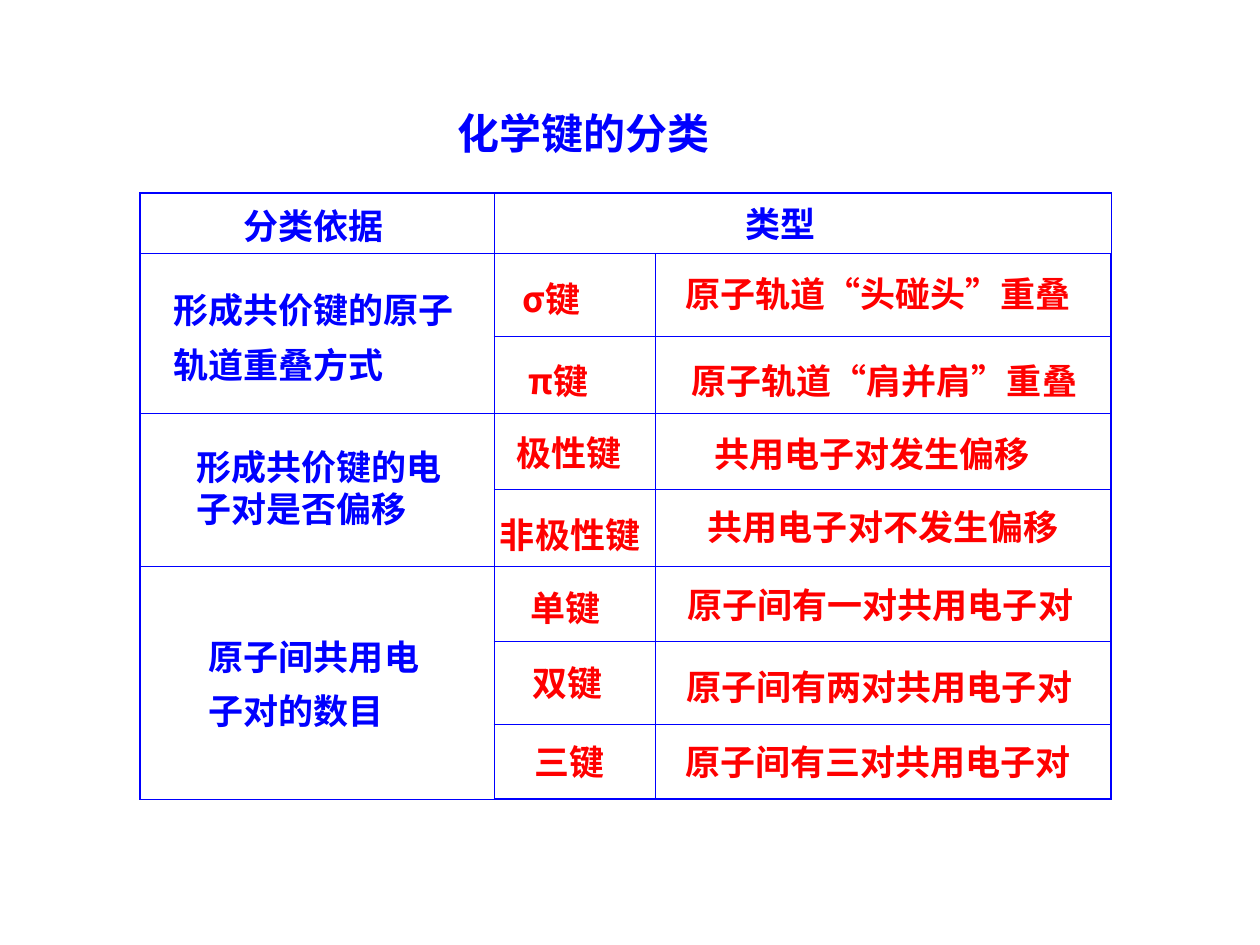
from lxml.etree import SubElement
from pptx import Presentation
from pptx.dml.color import RGBColor
from pptx.enum.text import MSO_ANCHOR, MSO_AUTO_SIZE, PP_ALIGN
from pptx.oxml import parse_xml
from pptx.oxml.ns import nsdecls, qn
from pptx.util import Cm, Pt

COLORS = {"heading": "0000FF", "border": "0000FF", "type": "FF0000"}
FONT = "Noto Sans CJK SC"
COLUMN_WIDTHS = [7.14, 3.25, 9.19]
ROW_HEIGHTS = [1.22, 1.68, 1.55, 1.52, 1.55, 1.52, 1.68, 1.5]
MERGES = [((0, 1), (0, 2)), ((1, 0), (2, 0)), ((3, 0), (4, 0)), ((5, 0), (7, 0))]
INNER_LINE, OUTER_LINE = 0.45, 1.08

HEADINGS = [
    ("类型", 14.78, 3.96, 4.93, 1.12, 1),
    ("分类依据", 4.65, 3.99, 4.93, 1.12, 1),
    ("形成共价键的电\n子对是否偏移", 3.71, 8.86, 6.17, 1.96, 1),
    ("形成共价键的原子\n轨道重叠方式", 3.25, 5.44, 6.93, 2.46, 1.3),
    ("原子间共用电\n子对的数目", 3.96, 12.42, 5.36, 2.46, 1.3),
]
BOND_TYPES = [
    ("σ键", 10.29, 5.46, 1),
    ("π键", 10.41, 7.11, 1),
    ("极性键", 10.16, 8.56, 1),
    ("非极性键", 9.83, 9.96, 1.3),
    ("单键", 10.44, 11.43, 1.3),
    ("双键", 10.49, 12.95, 1.3),
    ("三键", 10.52, 14.55, 1.3),
]
DESCRIPTIONS = [
    ("原子轨道“头碰头”重叠", 13.56, 5.11),
    ("原子轨道“肩并肩”重叠", 13.69, 6.86),
    ("共用电子对发生偏移", 14.15, 8.33),
    ("共用电子对不发生偏移", 14.02, 9.8),
    ("原子间有一对共用电子对", 13.61, 11.38),
    ("原子间有两对共用电子对", 13.59, 13.03),
    ("原子间有三对共用电子对", 13.56, 14.55),
]


def write_text(shape, text, size=20, color="type", spacing=1):
    """Fill a shape with bold, left-aligned paragraphs, one per line of text."""
    frame = shape.text_frame
    frame.word_wrap = True
    frame.auto_size = MSO_AUTO_SIZE.NONE
    frame.vertical_anchor = MSO_ANCHOR.TOP
    frame.margin_left = frame.margin_right = Cm(0.25)
    frame.margin_top = frame.margin_bottom = Cm(0.13)
    frame.text = text
    for paragraph in frame.paragraphs:
        paragraph.alignment = PP_ALIGN.LEFT
        paragraph.line_spacing = spacing
        for run in paragraph.runs:
            run.font.size = Pt(size)
            run.font.bold = True
            run.font.color.rgb = RGBColor.from_string(COLORS[color])
            run.font.name = FONT
            SubElement(run.font._element, qn("a:ea")).set("typeface", FONT)


def add_title(slide, text, left, top, width, height):
    """Move the title placeholder into place and fill it."""
    title = slide.shapes.title
    title.left, title.top = Cm(left), Cm(top)
    title.width, title.height = Cm(width), Cm(height)
    write_text(title, text, size=24, color="heading")


def add_label(slide, text, left, top, width, height, **text_format):
    """Add a text box measured in centimetres."""
    box = slide.shapes.add_textbox(Cm(left), Cm(top), Cm(width), Cm(height))
    write_text(box, text, **text_format)


def set_borders(cell, widths):
    """Draw the four cell borders from a dict of side to width in points."""
    properties = cell._tc.get_or_add_tcPr()
    for position, (side, width) in enumerate(widths.items()):
        line = parse_xml(
            f'<a:ln{side} {nsdecls("a")} w="{Pt(width)}"><a:solidFill>'
            f'<a:srgbClr val="{COLORS["border"]}"/></a:solidFill></a:ln{side}>'
        )
        properties.insert(position, line)


def add_grid(slide, left, top):
    """Add the ruled classification table with its merged cells."""
    row_count, column_count = len(ROW_HEIGHTS), len(COLUMN_WIDTHS)
    frame = slide.shapes.add_table(
        row_count, column_count, Cm(left), Cm(top),
        Cm(sum(COLUMN_WIDTHS)), Cm(sum(ROW_HEIGHTS)),
    )
    table = frame.table
    table.first_row = table.horz_banding = False
    for column, width in zip(table.columns, COLUMN_WIDTHS):
        column.width = Cm(width)
    for row, height in zip(table.rows, ROW_HEIGHTS):
        row.height = Cm(height)
    for start, end in MERGES:
        table.cell(*start).merge(table.cell(*end))
    for row in range(row_count):
        for column in range(column_count):
            cell = table.cell(row, column)
            cell.fill.background()
            on_edge = {
                "L": column == 0,
                "R": column == column_count - 1,
                "T": row == 0,
                "B": row == row_count - 1,
            }
            set_borders(cell, {
                side: OUTER_LINE if outer else INNER_LINE
                for side, outer in on_edge.items()
            })


def main():
    """Build the slide and save it."""
    presentation = Presentation()
    presentation.slide_width, presentation.slide_height = Cm(25.4), Cm(19.05)
    slide = presentation.slides.add_slide(presentation.slide_layouts[5])
    add_title(slide, "化学键的分类", 8.97, 2.03, 5.69, 1.27)
    add_grid(slide, 2.82, 3.89)
    for text, left, top, width, height, spacing in HEADINGS:
        add_label(slide, text, left, top, width, height, color="heading", spacing=spacing)
    for text, left, top, spacing in BOND_TYPES:
        height = 1.12 if spacing == 1 else 1.37
        add_label(slide, text, left, top, 4.93, height, spacing=spacing)
    for text, left, top in DESCRIPTIONS:
        add_label(slide, text, left, top, 9.8, 1.37, spacing=1.3)
    presentation.save("out.pptx")


if __name__ == "__main__":
    main()
